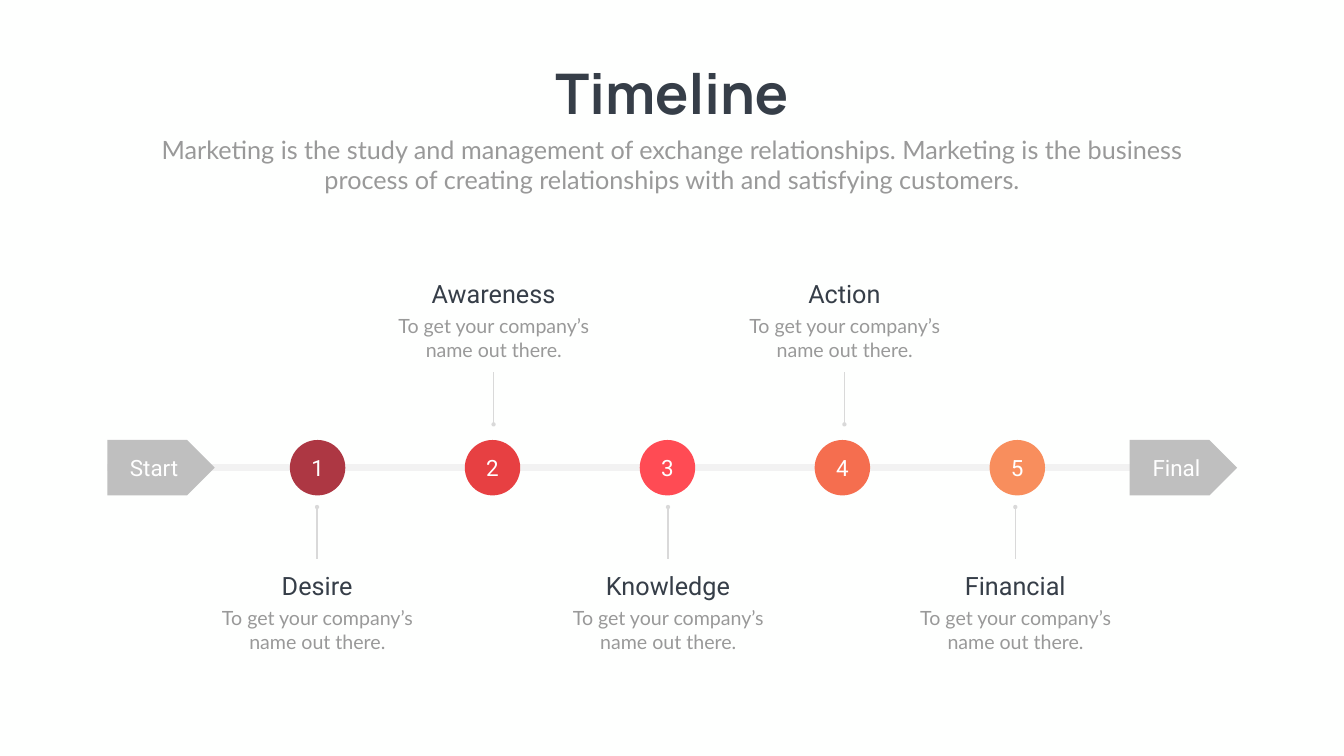
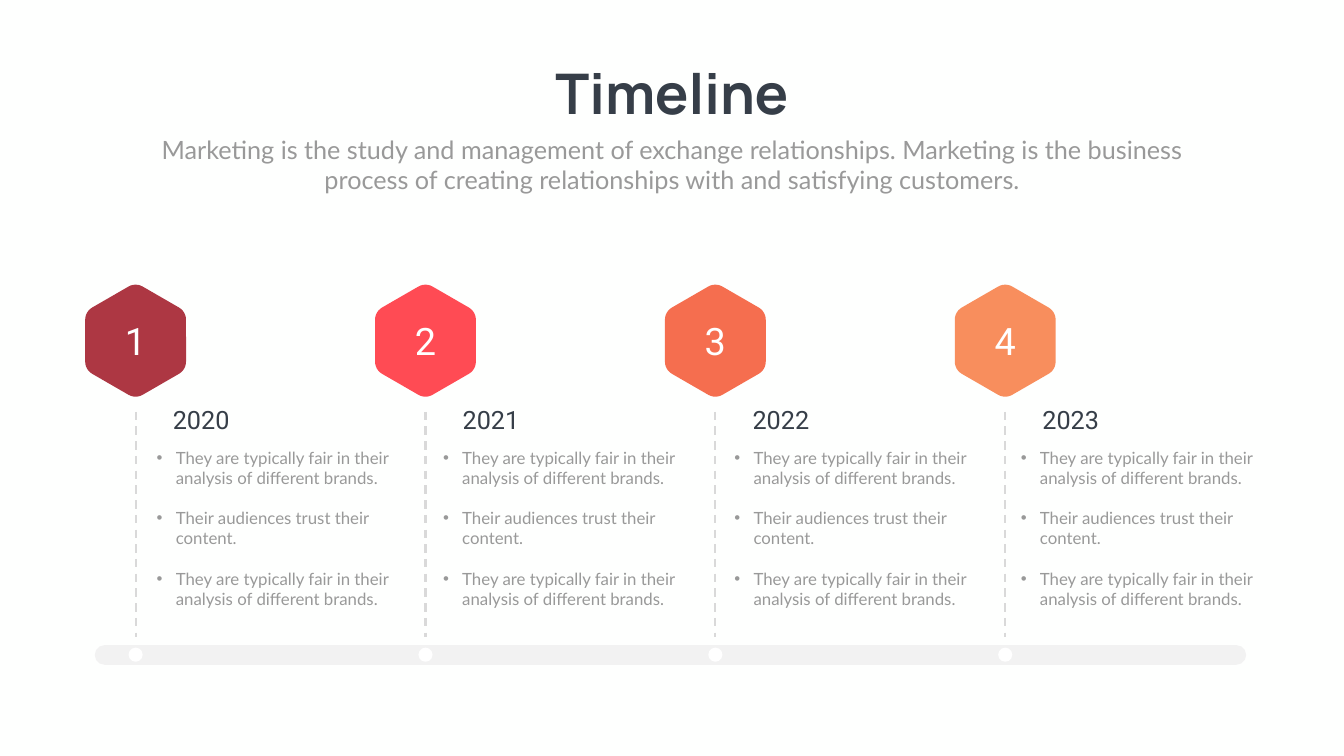
from math import cos, radians, sin

from lxml.etree import SubElement
from pptx import Presentation
from pptx.dml.color import RGBColor
from pptx.enum.dml import MSO_LINE
from pptx.enum.shapes import MSO_CONNECTOR, MSO_SHAPE as Kind
from pptx.enum.text import MSO_ANCHOR as Anchor, MSO_AUTO_SIZE as Fit, PP_ALIGN as Align
from pptx.oxml.ns import qn
from pptx.util import Inches, Pt

DARK, GREY, WHITE = "363E48", "999999", "FFFFFF"
PALE, RULE, PLATE = "F2F2F2", "D9D9D9", "BFBFBF"
WINE, RED, ROSE, CORAL, PEACH = "AD3743", "E74042", "FF4B54", "F56E4F", "F88E5D"

TITLE = {"size": Pt(80), "name": "Manrope", "bold": True}
LEAD = {"size": Pt(36), "name": "Lato"}
HEAD = {"size": Pt(36), "name": "Roboto"}
BODY = {"size": Pt(28), "name": "Lato"}
ITEM = {"size": Pt(24), "name": "Lato"}
STEP = {"size": Pt(32), "name": "Roboto"}
BIG = {"size": Pt(54), "name": "Roboto"}

INTRO = ("Marketing is the study and management of exchange relationships. "
         "Marketing is the business process of creating relationships with "
         "and satisfying customers.")
NOTE = "To get your company’s name out there."
FAIR = "They are typically fair in their analysis of different brands."
POINTS = [FAIR, "Their audiences trust their content.", FAIR]


def rgb(code):
    """Turn a hex string into a colour."""
    return RGBColor.from_string(code)


def write(par, text, style, color, align=Align.CENTER):
    """Put one styled run into a paragraph."""
    par.alignment = align
    run = par.add_run()
    run.text = text
    for key, value in style.items():
        setattr(run.font, key, value)
    run.font.color.rgb = rgb(color)


def add_text(slide, box, text, style, color, align=Align.CENTER):
    """Add a wrapping text box with one paragraph."""
    frame = slide.shapes.add_textbox(*map(Inches, box)).text_frame
    frame.word_wrap = True
    write(frame.paragraphs[0], text, style, color, align)


def add_list(slide, box, items):
    """Add a bulleted list with a line of space between items."""
    frame = slide.shapes.add_textbox(*map(Inches, box)).text_frame
    frame.word_wrap = True
    frame.margin_right = 0
    for i, item in enumerate(items):
        par = frame.add_paragraph() if i else frame.paragraphs[0]
        props = par._p.get_or_add_pPr()
        props.set("marL", str(Inches(0.38)))
        props.set("indent", str(-Inches(0.38)))
        SubElement(props, qn("a:buFont"), typeface="Arial")
        SubElement(props, qn("a:buChar"), char="•")
        if i:
            par.space_before = Pt(28.8)
        write(par, item, ITEM, GREY, Align.LEFT)


def paint(shape, color, text="", style=STEP):
    """Fill a shape flat and centre its label."""
    shape.shadow.inherit = False
    shape.fill.solid()
    shape.fill.fore_color.rgb = rgb(color)
    shape.line.fill.background()
    if text:
        frame = shape.text_frame
        frame.vertical_anchor = Anchor.MIDDLE
        write(frame.paragraphs[0], text, style, WHITE)
    return shape


def add_shape(slide, kind, box, color, text=""):
    """Add a flat preset shape."""
    return paint(slide.shapes.add_shape(kind, *map(Inches, box)), color, text)


def add_hex(slide, x, y, color, text):
    """Add an upright hexagon, two inches wide, with round corners."""
    side, bend = 2 / 3 ** 0.5, 0.28
    hub = side - bend * side
    spots = []
    for turn in range(30, 390, 60):
        mid_x, mid_y = x + hub * cos(radians(turn)), y + hub * sin(radians(turn))
        for step in range(-30, 31, 10):
            arc = radians(turn + step)
            spots.append((Inches(mid_x + bend * cos(arc)),
                          Inches(mid_y + bend * sin(arc))))
    path = slide.shapes.build_freeform(*spots[0])
    path.add_line_segments(spots[1:])
    paint(path.convert_to_shape(), color, text, BIG)


def add_line(slide, ends, color, width, dash=None, dot=False):
    """Add a straight line, dashed or starting with a dot on request."""
    line = slide.shapes.add_connector(MSO_CONNECTOR.STRAIGHT, *map(Inches, ends))
    line.line.color.rgb = rgb(color)
    line.line.width = Pt(width)
    if dash:
        line.line.dash_style = dash
    if dot:
        SubElement(line.line._get_or_add_ln(), qn("a:headEnd"), type="oval")
    SubElement(line._element.spPr, qn("a:effectLst"))
    return line


def add_page(deck):
    """Add a slide with the shared title and intro."""
    slide = deck.slides.add_slide(deck.slide_layouts[5])
    title = slide.shapes.title
    title.left, title.top, title.width, title.height = map(
        Inches, (10.74, 1.12, 5.18, 1.45))
    frame = title.text_frame
    frame.word_wrap = False
    frame.auto_size = Fit.SHAPE_TO_FIT_TEXT
    frame.vertical_anchor = Anchor.TOP
    write(frame.paragraphs[0], "Timeline", TITLE, DARK)
    add_text(slide, (2.92, 2.61, 20.82, 1.31), INTRO, LEAD, GREY)
    return slide


def add_call(slide, x, above, name):
    """Add a stem with a heading and note over or under the axis."""
    top, start, end = (5.47, 8.42, 7.38) if above else (11.27, 10.06, 11.1)
    add_line(slide, (x, start, x, end), RULE, 2, dot=True)
    add_text(slide, (x - 2, top, 4, 0.71), name, HEAD, DARK)
    add_text(slide, (x - 2.29, top + 0.71, 4.59, 1.04), NOTE, BODY, GREY)


def draw_steps(deck):
    """Build the five-step axis slide."""
    slide = add_page(deck)
    axis = add_line(slide, (2.13, 9.28, 24.41, 9.28), PALE, 10)
    start, _ = [add_shape(slide, Kind.PENTAGON, (x, 8.73, 2.13, 1.1), PLATE, text)
                for x, text in ((2.13, "Start"), (22.41, "Final"))]
    axis.begin_connect(start, 1)
    steps = [(WINE, 6.29, "Desire"), (RED, 9.79, "Awareness"),
             (ROSE, 13.25, "Knowledge"), (CORAL, 16.75, "Action"),
             (PEACH, 20.14, "Financial")]
    for i, (color, x, name) in enumerate(steps):
        ball = (5.75 + 3.47 * i, 8.73, 1.1, 1.1)
        add_shape(slide, Kind.OVAL, ball, color, str(i + 1))
        add_call(slide, x, i % 2 == 1, name)


def draw_years(deck):
    """Build the four-year slide."""
    slide = add_page(deck)
    bar = add_shape(slide, Kind.ROUNDED_RECTANGLE, (1.88, 12.8, 22.84, 0.39), PALE)
    bar.adjustments[0] = 0.5
    years = [(WINE, 3.01), (ROSE, 8.69), (CORAL, 14.47), (PEACH, 20.15)]
    for i, (color, left) in enumerate(years):
        x = 2.69 + 5.75 * i
        add_list(slide, (left, 8.83, 4.79, 3.33), POINTS)
        add_text(slide, (x + 0.64, 7.98, 2.13, 0.71), str(2020 + i),
                 HEAD, DARK, Align.LEFT)
        add_line(slide, (x, 8.17, x, 12.63), RULE, 3, MSO_LINE.DASH)
        add_shape(slide, Kind.OVAL, (x - 0.14, 12.85, 0.28, 0.28), WHITE)
        add_hex(slide, x, 6.76, color, str(i + 1))


def main():
    """Build and save the deck."""
    deck = Presentation()
    deck.slide_width, deck.slide_height = Inches(26.66), Inches(15)
    back = deck.slide_master.background.fill
    back.solid()
    back.fore_color.rgb = rgb("FEFFFE")
    draw_steps(deck)
    draw_years(deck)
    deck.save("out.pptx")


if __name__ == "__main__":
    main()
